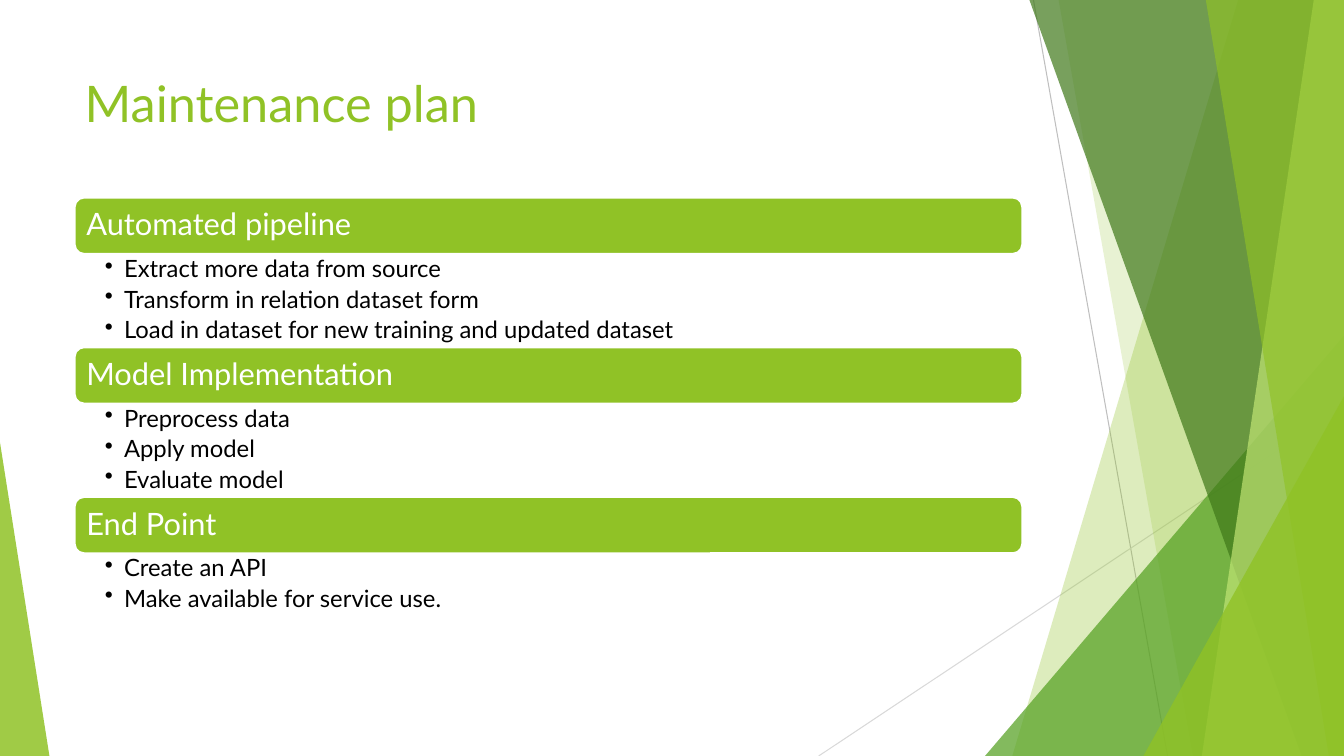
from dataclasses import dataclass

from lxml import etree
from pptx import Presentation
from pptx.dml.color import RGBColor
from pptx.enum.shapes import MSO_CONNECTOR, MSO_SHAPE
from pptx.enum.text import MSO_ANCHOR, MSO_AUTO_SIZE, PP_ALIGN
from pptx.oxml.ns import qn
from pptx.util import Inches, Pt

STRAIGHT = MSO_CONNECTOR.STRAIGHT
TRIANGLE, ROUNDED = MSO_SHAPE.ISOSCELES_TRIANGLE, MSO_SHAPE.ROUNDED_RECTANGLE
TOP, MIDDLE = MSO_ANCHOR.TOP, MSO_ANCHOR.MIDDLE
LEFT, NO_FIT = PP_ALIGN.LEFT, MSO_AUTO_SIZE.NONE

TITLE = "Maintenance plan"
STAGES = [
    ("Automated pipeline", [
        "Extract more data from source",
        "Transform in relation dataset form",
        "Load in dataset for new training and updated dataset",
    ]),
    ("Model Implementation", ["Preprocess data", "Apply model", "Evaluate model"]),
    ("End Point", ["Create an API", "Make available for service use."]),
]


@dataclass(frozen=True)
class Theme:
    font: str = "Lato"
    green: str = "90C226"
    mid_green: str = "54A021"
    dark_green: str = "3F7819"
    light_green: str = "C0E474"
    white: str = "FFFFFF"
    black: str = "000000"
    grey: str = "BFBFBF"
    light_grey: str = "D9D9D9"
    title_size: int = 36
    stage_size: int = 22
    item_size: int = 17


THEME = Theme()
WIDTH, HEIGHT = 13.33, 7.5
MARGIN, CONTENT_W = 0.74, 9.4
STAGES_TOP, BAND_H, LIST_H = 1.96, 0.56, 0.925

# x1, y1, x2, y2, colour
RULES = [
    (10.25, 0, 11.58, HEIGHT, THEME.grey),
    (WIDTH, 4.03, 8.12, HEIGHT, THEME.light_grey),
]
# Back to front. Blade: top x, bottom x, colour, opacity.
# Wedge: left, top, width, apex (0 left, 1 right), colour, opacity.
FACETS = [
    ("blade", 12.28, 10.04, THEME.green, 30),
    ("blade", 10.5, 11.83, THEME.green, 20),
    ("wedge", 9.77, 3.33, 3.56, 1, THEME.mid_green, 72),
    ("blade", 10.21, 12.91, THEME.dark_green, 70),
    ("blade", 13.03, 11.92, THEME.light_green, 70),
    ("blade", 11.96, 13.18, THEME.green, 65),
    ("wedge", 11.34, 3.93, 1.99, 1, THEME.green, 80),
    ("wedge", 0, 4.39, 0.49, 0, THEME.green, 85),
]


def rgb(colour):
    return RGBColor.from_string(colour)


def paint(shape, colour, opacity):
    shape.shadow.inherit = False
    shape.fill.solid()
    shape.fill.fore_color.rgb = rgb(colour)
    shape.line.fill.background()
    clr = shape.fill._xPr.find(qn("a:solidFill"))[0]
    etree.SubElement(clr, qn("a:alpha"), val=str(opacity * 1000))


def add_rule(s, x1, y1, x2, y2, colour):
    rule = s.shapes.add_connector(STRAIGHT, *map(Inches, (x1, y1, x2, y2)))
    rule.line.color.rgb = rgb(colour)
    rule.line.width = Pt(0.75)
    etree.SubElement(rule._element.spPr, qn("a:effectLst"))


def add_blade(s, top_x, bottom_x, colour, opacity):
    """Fill from a slanted left edge to the right edge of the slide."""
    corners = [(WIDTH, 0), (WIDTH, HEIGHT), (bottom_x, HEIGHT)]
    builder = s.shapes.build_freeform(Inches(top_x), 0)
    builder.add_line_segments([(Inches(x), Inches(y)) for x, y in corners])
    paint(builder.convert_to_shape(), colour, opacity)


def add_wedge(s, left, top, width, apex, colour, opacity):
    """Draw a right triangle standing on the bottom edge of the slide."""
    wedge = s.shapes.add_shape(
        TRIANGLE, *map(Inches, (left, top, width, HEIGHT - top)))
    wedge.adjustments[0] = apex
    paint(wedge, colour, opacity)


def set_frame(tf, anchor, left, top, right, bottom):
    tf.word_wrap = True
    tf.auto_size = NO_FIT
    tf.vertical_anchor = anchor
    tf.margin_left, tf.margin_top = Inches(left), Inches(top)
    tf.margin_right, tf.margin_bottom = Inches(right), Inches(bottom)


def style(p, size, colour):
    p.alignment = LEFT
    for r in p.runs:
        r.font.name = THEME.font
        r.font.size = Pt(size)
        r.font.color.rgb = rgb(colour)


def add_bullet(p):
    pPr = p._p.get_or_add_pPr()
    pPr.set("marL", str(Inches(0.19)))
    pPr.set("indent", str(-Inches(0.19)))
    etree.SubElement(pPr, qn("a:buChar"), char="•")


def add_band(s, top, text):
    band = s.shapes.add_shape(
        ROUNDED, *map(Inches, (MARGIN, top, CONTENT_W, BAND_H)))
    band.shadow.inherit = False
    band.fill.solid()
    band.fill.fore_color.rgb = rgb(THEME.green)
    band.line.color.rgb = rgb(THEME.white)
    band.line.width = Pt(1.5)
    tf = band.text_frame
    tf.text = text
    set_frame(tf, MIDDLE, 0.09, 0.09, 0.09, 0.09)
    p = tf.paragraphs[0]
    p.line_spacing = 0.9
    style(p, THEME.stage_size, THEME.white)


def add_items(s, top, items):
    box = s.shapes.add_textbox(
        *map(Inches, (MARGIN, top, CONTENT_W, LIST_H)))
    tf = box.text_frame
    tf.text = "\n".join(items)
    set_frame(tf, TOP, 0.3, 0.03, 0.17, 0.03)
    for p in tf.paragraphs:
        p.line_spacing = 0.9
        p.space_after = Pt(THEME.item_size * 0.2)
        style(p, THEME.item_size, THEME.black)
        add_bullet(p)


def add_title(s):
    title = s.shapes.title
    title.left, title.top = Inches(MARGIN), Inches(0.67)
    title.width, title.height = Inches(CONTENT_W), Inches(1.2)
    tf = title.text_frame
    tf.text = TITLE
    set_frame(tf, TOP, 0.1, 0.05, 0.1, 0.05)
    style(tf.paragraphs[0], THEME.title_size, THEME.green)


def main():
    prs = Presentation()
    prs.slide_width, prs.slide_height = Inches(WIDTH), Inches(HEIGHT)
    s = prs.slides.add_slide(prs.slide_layouts.get_by_name("Title Only"))

    for rule in RULES:
        add_rule(s, *rule)
    draw = {"blade": add_blade, "wedge": add_wedge}
    for kind, *facet in FACETS:
        draw[kind](s, *facet)

    add_title(s)
    for i, (stage, items) in enumerate(STAGES):
        top = STAGES_TOP + i * (BAND_H + LIST_H)
        add_band(s, top, stage)
        add_items(s, top + BAND_H, items)

    prs.save("out.pptx")


if __name__ == "__main__":
    main()
